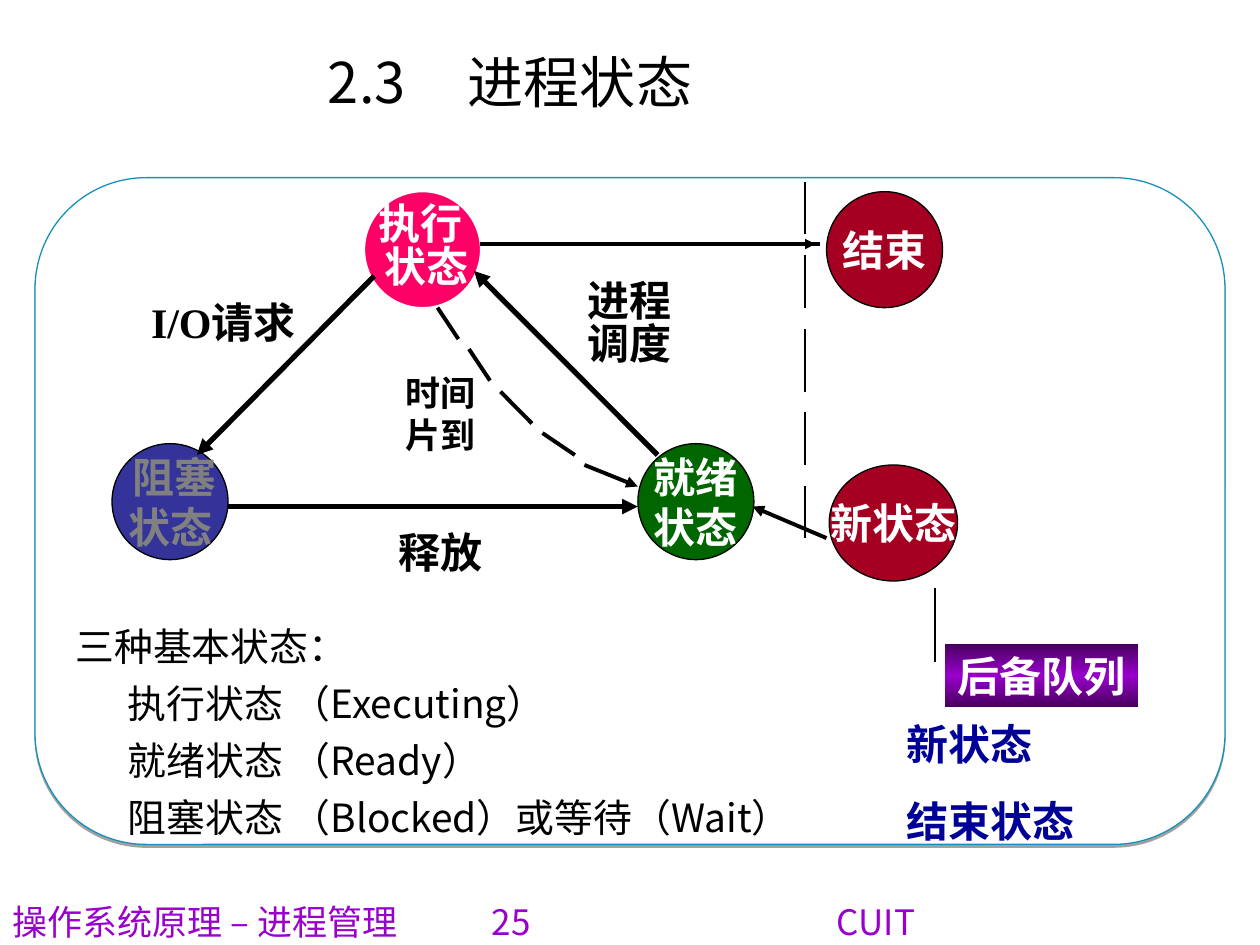
"""Build the process state diagram slide."""
from copy import deepcopy

from lxml.etree import SubElement
from pptx import Presentation
from pptx.dml.color import RGBColor
from pptx.enum.shapes import MSO_CONNECTOR, MSO_SHAPE
from pptx.enum.text import MSO_ANCHOR, PP_ALIGN
from pptx.oxml.ns import qn
from pptx.util import Pt

BLACK = RGBColor(0, 0, 0)
WHITE = RGBColor(255, 255, 255)
GREY = RGBColor(0x80, 0x80, 0x80)
NAVY = RGBColor(0, 0, 0x99)
INDIGO = RGBColor(0x33, 0x33, 0x99)
GREEN = RGBColor(0, 0x66, 0)
PINK = RGBColor(0xFF, 0, 0x66)
CRIMSON = RGBColor(0xA5, 0, 0x21)
PURPLE = RGBColor(0x99, 0, 0xCC)
DARK_PURPLE = RGBColor(0x47, 0, 0x5E)
FRAME_BLUE = RGBColor(0x17, 0x90, 0xBB)
SANS = "Noto Sans CJK SC"
SERIF = "Times New Roman"

TITLE = "2.3\t进程状态"
FOOTER = "操作系统原理 – 进程管理\t25\tCUIT"
BASIC_STATES = [
    "三种基本状态：",
    "执行状态 （Executing）",
    "就绪状态 （Ready）",
    "阻塞状态 （Blocked）或等待（Wait）",
]
EXTRA_STATES = ["新状态", "结束状态"]
QUEUE = "后备队列"

STATES = [
    ((64, 253.5, 66.3, 66.3), INDIGO, BLACK, [" 阻塞", "状态"], GREY),
    ((364.5, 253.5, 66.3, 66.3), GREEN, BLACK, ["就绪", "状态"], WHITE),
    ((208.3, 109.5, 66.3, 66.3), PINK, WHITE, [], WHITE),
    ((473.8, 265.7, 73.4, 66.3), CRIMSON, BLACK, ["新状态"], WHITE),
    ((472.3, 109.5, 66.3, 66.3), CRIMSON, BLACK, ["结束"], WHITE),
]
LABELS = [
    ((209.5, 109.5, 69, 36), ["执行"], 24, WHITE),
    ((212.5, 134, 68, 36), ["状态"], 24, WHITE),
    ((328.5, 178, 64, 36), ["调度"], 24, BLACK),
    ((79.2, 165.8, 106, 36), ["I/O请求"], 24, BLACK),
    ((328.5, 153.5, 64, 36), ["进程"], 24, BLACK),
    ((220.5, 297.5, 64, 36), ["释放"], 24, BLACK),
    ((224.8, 209, 56, 55.4), ["时间", "片到"], 20, BLACK),
]
ARROWS = [
    ((375.8, 260, 270.8, 154.8), 3),
    ((213.8, 157.8, 112.5, 260), 3),
    ((130.5, 289.5, 364.5, 289.5), 3),
    ((334, 265.7, 364.5, 278), 2.25),
    ((472.3, 307.5, 430, 289.5), 2.25),
    ((436.3, 139.5, 466, 139.5), 0.75),
]
LINES = [
    ((250, 175.8, 262, 193.8), 2.25),
    ((268, 199.5, 280, 217.5), 2.25),
    ((286, 223.8, 304, 242), 2.25),
    ((310, 247.5, 328.5, 260), 2.25),
    ((274.5, 139.5, 468.8, 139.5), 2.25),
    ((534.3, 336, 534.3, 378), 0.75),
]
BOUNDARY_X = 460
BOUNDARY_DASHES = [(104, 134), (145.5, 175.8), (188, 224), (235.5, 265.7), (278, 307.5)]


def write(shape, lines, size, color, font=SERIF, bold=True, wrap=False,
          align=PP_ALIGN.LEFT, anchor=MSO_ANCHOR.TOP, spacing=None, before=0,
          tabs=(), indent=0):
    frame = shape.text_frame
    frame.text = "\n".join(lines)
    frame.word_wrap = wrap
    frame.vertical_anchor = anchor
    for index, paragraph in enumerate(frame.paragraphs):
        paragraph.alignment = align
        if spacing:
            paragraph.line_spacing = spacing
        if index and before:
            paragraph.space_before = Pt(before)
        properties = paragraph._p.get_or_add_pPr()
        if index and indent:
            properties.set("marL", str(Pt(indent)))
        if tabs:
            tab_list = SubElement(properties, qn("a:tabLst"))
            for position in tabs:
                SubElement(tab_list, qn("a:tab"), pos=str(Pt(position)), algn="l")
        for run in paragraph.runs:
            run.font.size = Pt(size)
            run.font.bold = bold
            run.font.name = font
            run.font.color.rgb = color
            SubElement(run._r.get_or_add_rPr(), qn("a:ea"), typeface=SANS)


def add_text(slide, box, lines, size, color, **options):
    write(slide.shapes.add_textbox(*map(Pt, box)), lines, size, color, **options)


def add_shape(slide, kind, box, fill, outline):
    shape = slide.shapes.add_shape(kind, *map(Pt, box))
    shape.shadow.inherit = False
    shape.fill.solid()
    shape.fill.fore_color.rgb = fill
    shape.line.color.rgb = outline
    shape.line.width = Pt(0.75)
    return shape


def add_line(slide, ends, width, arrow=False):
    line = slide.shapes.add_connector(MSO_CONNECTOR.STRAIGHT, *map(Pt, ends))
    line.line.color.rgb = BLACK
    line.line.width = Pt(width)
    if arrow:
        SubElement(line.line._get_or_add_ln(), qn("a:tailEnd"), type="triangle")
    SubElement(line._element.spPr, qn("a:effectLst"))


def add_frame(slide):
    frame = add_shape(slide, MSO_SHAPE.ROUNDED_RECTANGLE, (20, 101.5, 680, 381),
                      WHITE, FRAME_BLUE)
    effects = frame._element.spPr.find(qn("a:effectLst"))
    shadow = SubElement(effects, qn("a:outerShdw"), dist=str(Pt(1.6)),
                        dir="5400000", rotWithShape="0")
    color = SubElement(shadow, qn("a:srgbClr"), val=str(BLACK))
    SubElement(color, qn("a:alpha"), val="37000")


def add_queue(slide):
    queue = add_shape(slide, MSO_SHAPE.RECTANGLE, (540, 368, 110.4, 36), PURPLE, PURPLE)
    queue.line.fill.background()
    queue.fill.gradient()
    queue.fill.gradient_angle = 90
    stops = queue._element.spPr.find(qn("a:gradFill")).find(qn("a:gsLst"))
    stops.insert(1, deepcopy(stops[0]))
    colors = (DARK_PURPLE, PURPLE, DARK_PURPLE)
    for stop, position, color in zip(queue.fill.gradient_stops, (0, 0.5, 1), colors):
        stop.position = position
        stop.color.rgb = color
    write(queue, [QUEUE], 24, WHITE)


def main():
    presentation = Presentation()
    presentation.slide_width, presentation.slide_height = Pt(720), Pt(540)
    slide = presentation.slides.add_slide(presentation.slide_layouts[6])

    add_frame(slide)
    sans = {"font": SANS, "bold": False, "wrap": True}
    add_text(slide, (0, 511, 720, 29), [FOOTER], 20, PURPLE, tabs=(274, 471), **sans)
    add_text(slide, (36, 352, 648, 130), BASIC_STATES, 22.2, BLACK,
             before=6, indent=30, **sans)
    add_text(slide, (36, 21.6, 511, 90), [TITLE], 32, BLACK, spacing=1.05,
             align=PP_ALIGN.CENTER, tabs=(80,), **sans)
    add_queue(slide)
    add_text(slide, (511, 407, 118, 80), EXTRA_STATES, 24, NAVY, wrap=True, before=15)

    for box, fill, outline, lines, color in STATES:
        state = add_shape(slide, MSO_SHAPE.OVAL, box, fill, outline)
        write(state, lines, 24, color, align=PP_ALIGN.CENTER, anchor=MSO_ANCHOR.MIDDLE)
    for box, lines, size, color in LABELS:
        add_text(slide, box, lines, size, color)
    for ends, width in ARROWS:
        add_line(slide, ends, width, arrow=True)
    for ends, width in LINES:
        add_line(slide, ends, width)
    for top, bottom in BOUNDARY_DASHES:
        add_line(slide, (BOUNDARY_X, top, BOUNDARY_X, bottom), 0.75)

    presentation.save("out.pptx")


if __name__ == "__main__":
    main()
